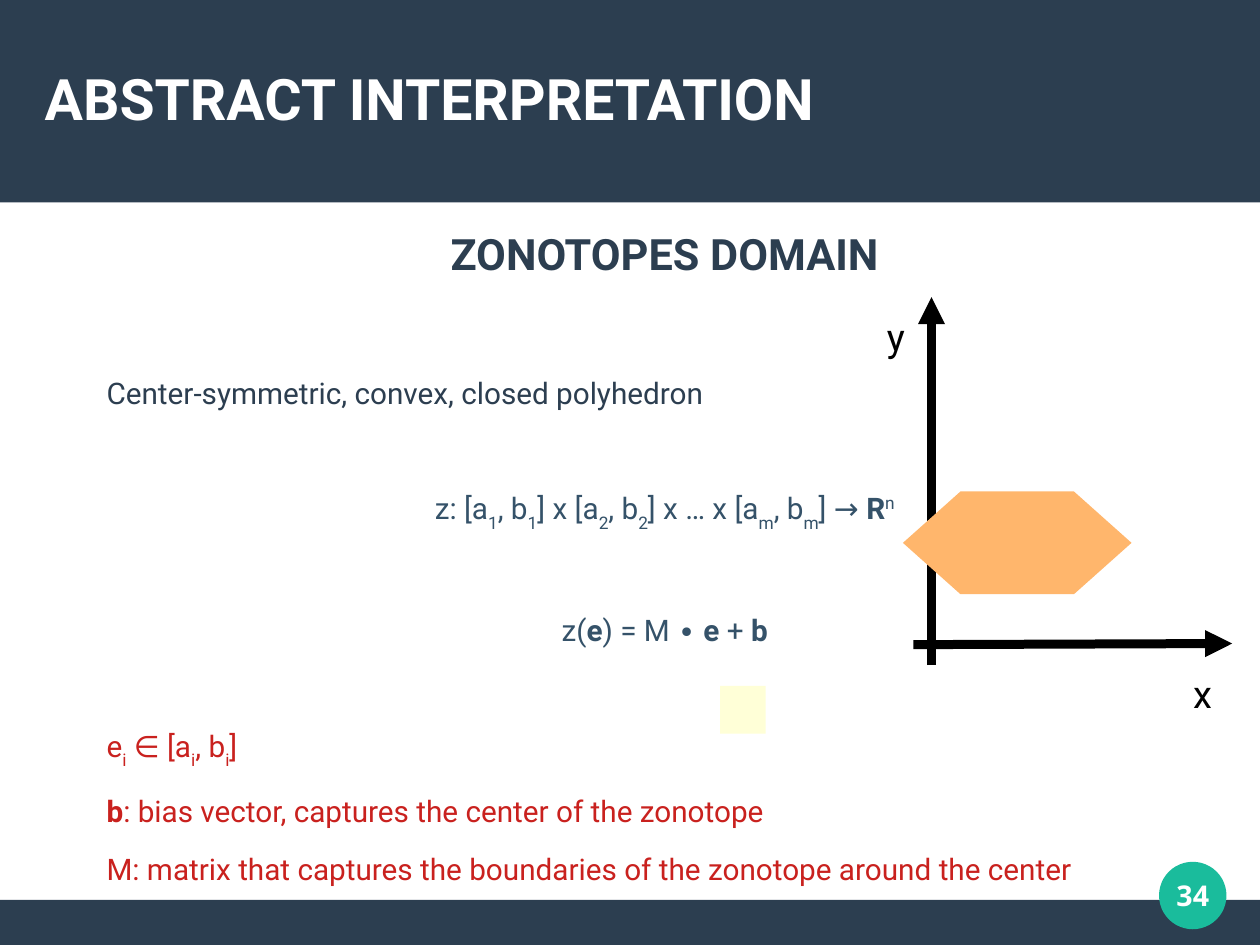
from lxml import etree
from pptx import Presentation
from pptx.dml.color import RGBColor
from pptx.enum import shapes, text
from pptx.oxml import ns
from pptx.util import Pt

NAVY, SLATE, RED = "2C3E50", "355269", "C9211E"
WHITE, BLACK, TEAL = "FFFFFF", "000000", "1ABC9C"
ORANGE, CREAM = "FFB66C", "FFFFD7"
LEFT, CENTER = text.PP_ALIGN.LEFT, text.PP_ALIGN.CENTER
TOP, MIDDLE = text.MSO_ANCHOR.TOP, text.MSO_ANCHOR.MIDDLE
BASELINES = {"_": "-33000", "^": "33000"}
GAP = 36  # space before a separate block of the body


def rgb(color):
    return RGBColor.from_string(color)


def write(p, content, size=18.7, color=NAVY, font="Roboto", bold=False,
          align=LEFT, before=0, after=0):
    """Runs are parted by |; a leading * is bold, _ subscript, ^ superscript."""
    p.alignment = align
    p.space_before, p.space_after = Pt(before), Pt(after)
    for part in content.split("|"):
        mark = part[0] if part[0] in "*_^" else ""
        r = p.add_run()
        r.text = part[len(mark):]
        r.font.size, r.font.name = Pt(size), font
        r.font.bold = bold or mark == "*"
        r.font.color.rgb = rgb(color)
        if mark in BASELINES:
            r.font._element.set("baseline", BASELINES[mark])


def frame(sp, anchor=TOP, wrap=True, inset=(0, 0)):
    tf = sp.text_frame
    tf.auto_size = text.MSO_AUTO_SIZE.NONE
    tf.word_wrap, tf.vertical_anchor = wrap, anchor
    tf.margin_left = tf.margin_right = Pt(inset[0])
    tf.margin_top = tf.margin_bottom = Pt(inset[1])
    return tf


def place(sp, x, y, w, h):
    sp.left, sp.top, sp.width, sp.height = Pt(x), Pt(y), Pt(w), Pt(h)


def add_block(s, kind, x, y, w, h, color):
    sp = s.shapes.add_shape(kind, Pt(x), Pt(y), Pt(w), Pt(h))
    sp.shadow.inherit = False
    sp.fill.solid()
    sp.fill.fore_color.rgb = rgb(color)
    sp.line.fill.background()
    return sp


def add_axis(s, x1, y1, x2, y2):
    axis = s.shapes.add_connector(shapes.MSO_CONNECTOR.STRAIGHT,
                                  Pt(x1), Pt(y1), Pt(x2), Pt(y2))
    axis.line.width = Pt(5.67)
    axis.line.color.rgb = rgb(BLACK)
    ln = axis.line._get_or_add_ln()
    etree.SubElement(ln, ns.qn("a:tailEnd"), type="triangle")
    etree.SubElement(axis._element.spPr, ns.qn("a:effectLst"))


def add_label(s, content, x, y, w, h, anchor=TOP, wrap=False,
              inset=(7.2, 3.6), **style):
    sp = s.shapes.add_textbox(Pt(x), Pt(y), Pt(w), Pt(h))
    write(frame(sp, anchor, wrap, inset).paragraphs[0], content, **style)


def fill_body(body):
    lines = [
        ("ZONOTOPES DOMAIN", dict(size=27.2, bold=True, align=CENTER)),
        ("Center-symmetric, convex, closed polyhedron", dict(before=46)),
        ("z: [a|_1|, b|_1|] x [a|_2|, b|_2|] x … x [a|_m|, b|_m|] → |*R|^n",
         dict(color=SLATE, align=CENTER, before=GAP)),
        ("z(|*e|) = M ∙ |*e| + |*b",
         dict(color=SLATE, align=CENTER, before=GAP)),
        ("e|_i| ∈ [a|_i|, b|_i|]", dict(color=RED, before=GAP)),
        ("*b|: bias vector, captures the center of the zonotope",
         dict(color=RED)),
        ("M: matrix that captures the boundaries of the zonotope "
         "around the center", dict(color=RED)),
    ]
    tf = frame(body)
    for i, (content, style) in enumerate(lines):
        p = tf.add_paragraph() if i else tf.paragraphs[0]
        pPr = p._p.get_or_add_pPr()
        pPr.set("marL", str(Pt(34)))
        pPr.set("indent", "0")
        etree.SubElement(pPr, ns.qn("a:buNone"))
        write(p, content, after=14.1, **style)


def main():
    prs = Presentation()
    prs.slide_width, prs.slide_height = Pt(793.7), Pt(595.3)
    s = prs.slides.add_slide(prs.slide_layouts[1])
    title, body = s.placeholders
    kinds = shapes.MSO_SHAPE

    # Bars and page badge, behind the placeholders
    add_block(s, kinds.RECTANGLE, 0, 566.9, 793.7, 28.4, NAVY)
    add_block(s, kinds.RECTANGLE, 0, 0, 793.7, 127.5, NAVY)
    add_block(s, kinds.OVAL, 730.1, 542.9, 42.5, 42.5, TEAL)
    for sp in (title, body):
        s.shapes._spTree.append(sp._element)

    # Title and body
    place(title, 28.1, 23.8, 737.3, 75.6)
    write(frame(title, MIDDLE).paragraphs[0], "ABSTRACT INTERPRETATION",
          size=36, color=WHITE, bold=True)
    place(body, 33.1, 143.3, 737.3, 411.1)
    fill_body(body)

    # Plot of the zonotope
    add_block(s, kinds.RECTANGLE, 453.6, 432, 28.8, 30.2, CREAM)
    add_axis(s, 586.8, 419, 586.8, 187.2)
    add_axis(s, 575.3, 406.1, 776.2, 405.4)
    for name, x, y in (("x", 744.5, 419), ("y", 551.5, 193.7)):
        add_label(s, name, x, y, 26, 39.6, size=24, color=BLACK)
    zonotope = add_block(s, kinds.HEXAGON, 568.8, 309.6, 144, 64.8, ORANGE)
    zonotope.adjustments[0] = 0.56

    # Page number
    add_label(s, "34", 722.9, 535.7, 56.9, 56.9, anchor=MIDDLE, wrap=True,
              inset=(0, 0), size=18, color=WHITE, font="Noto Sans",
              bold=True, align=CENTER)
    prs.save("out.pptx")


if __name__ == "__main__":
    main()
